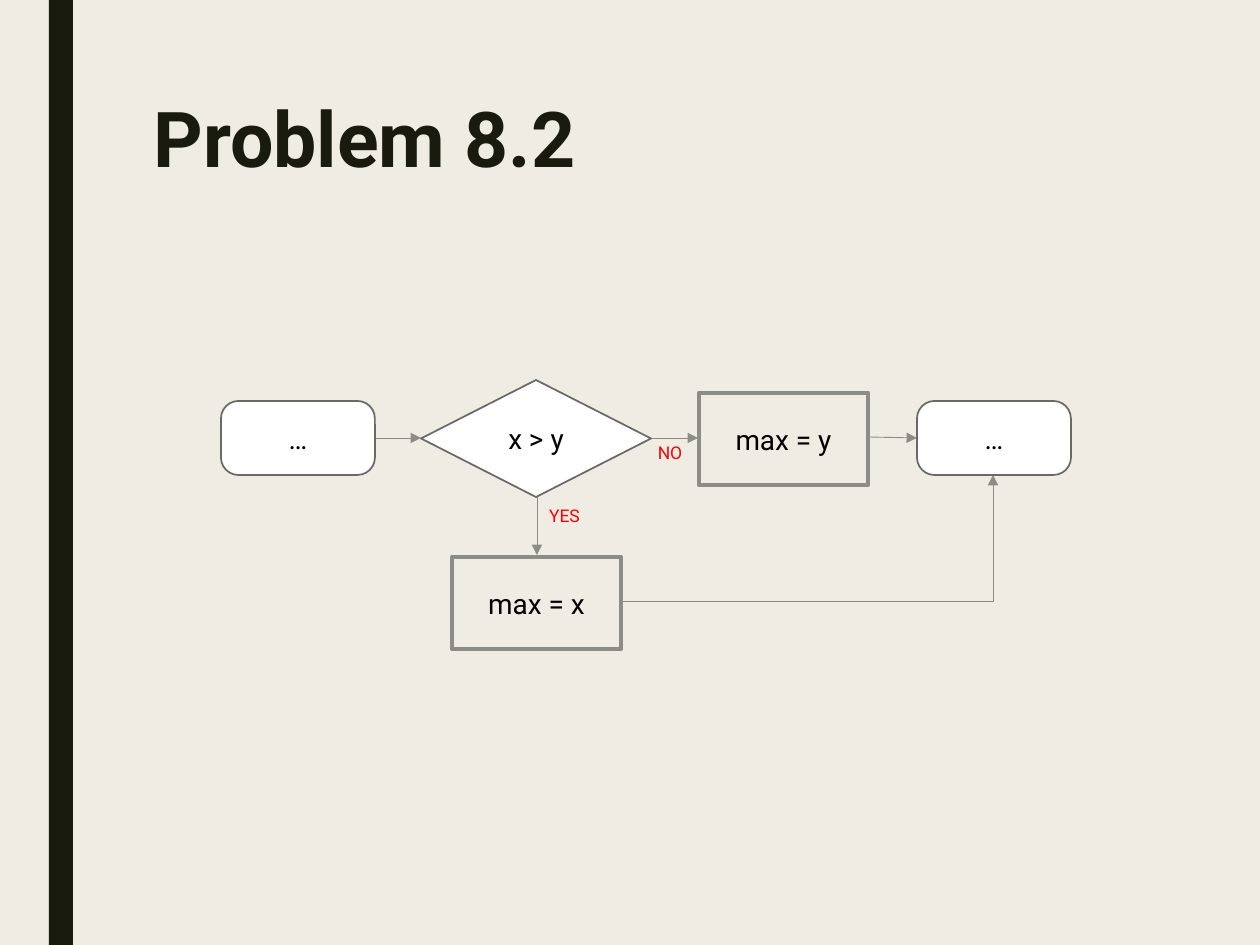
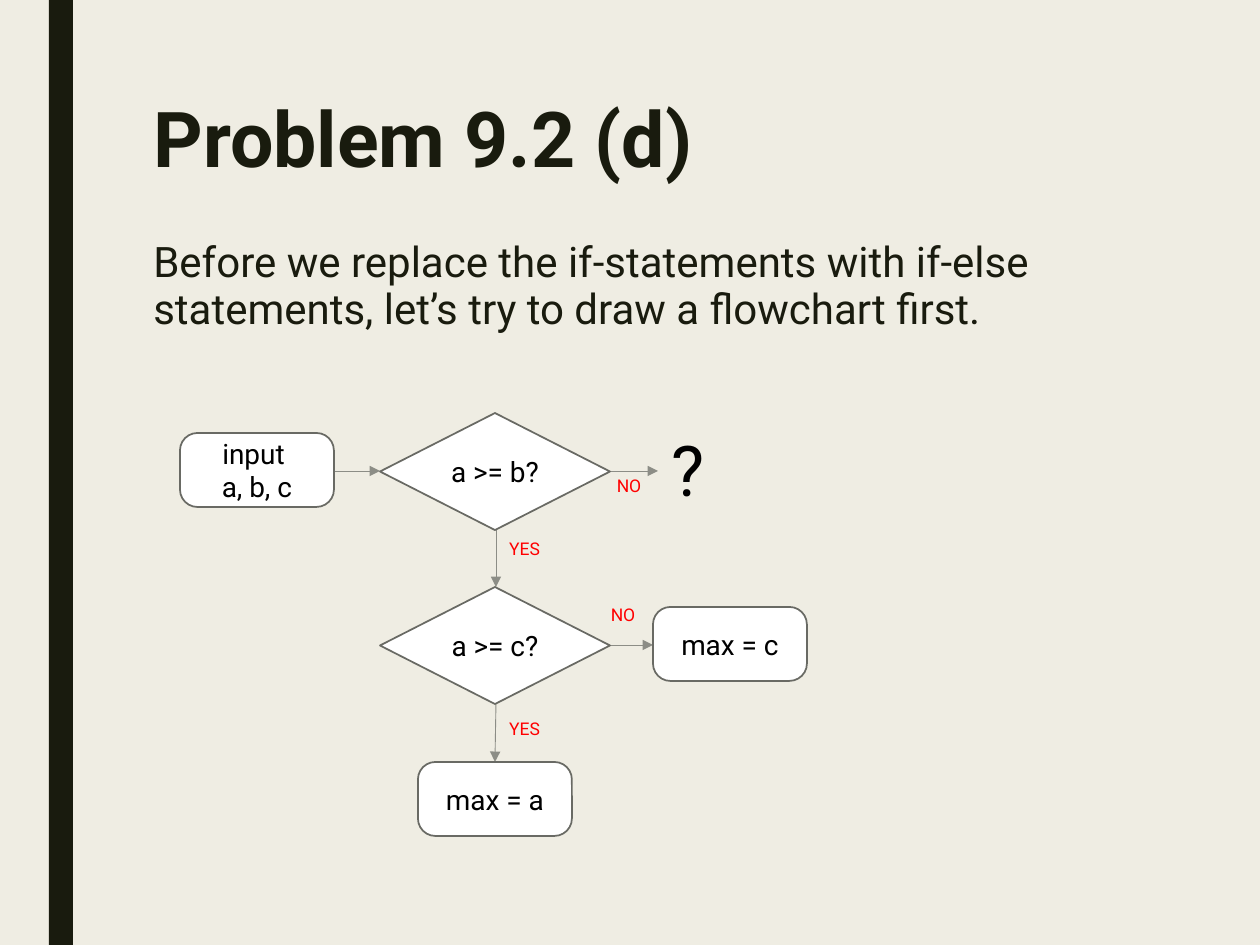
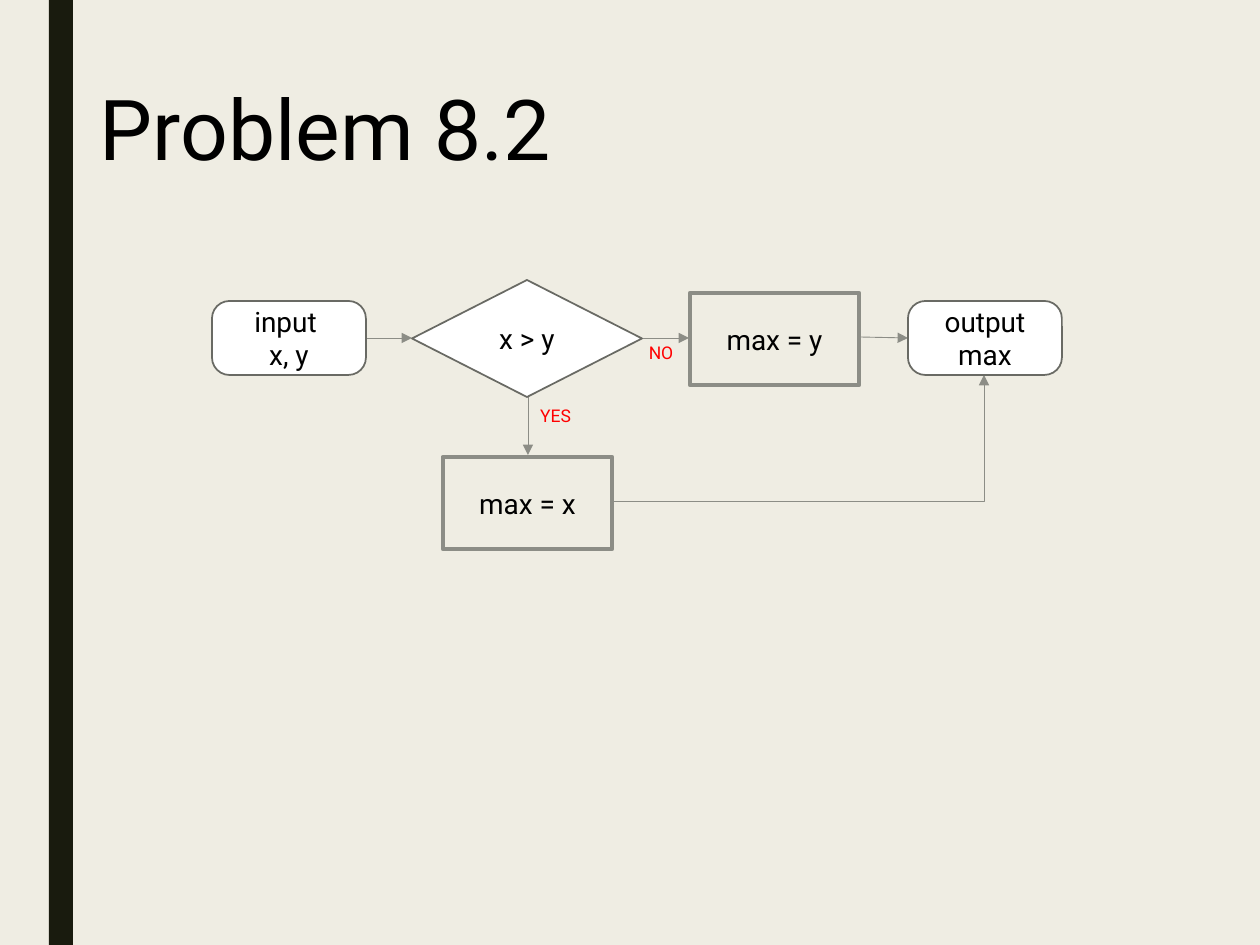
from lxml.etree import SubElement
from pptx import Presentation
from pptx.dml.color import RGBColor
from pptx.enum.shapes import MSO_CONNECTOR, MSO_SHAPE
from pptx.enum.text import MSO_ANCHOR, MSO_AUTO_SIZE, PP_ALIGN
from pptx.oxml.ns import qn
from pptx.util import Pt

SCALE = 914400 / 126  # EMU per px
CREAM = RGBColor(0xEF, 0xED, 0xE3)
DARK = RGBColor(0x19, 0x1B, 0x0E)
BLACK = RGBColor(0x00, 0x00, 0x00)
WHITE = RGBColor(0xFF, 0xFF, 0xFF)
RED = RGBColor(0xFF, 0x00, 0x00)
OUTLINE = RGBColor(0x69, 0x6A, 0x64)
GREY = RGBColor(0x8C, 0x8D, 0x86)
FONT = "Roboto"


def px(*lengths):
    return [round(length * SCALE) for length in lengths]


def write(shape, text, size=16, color=BLACK, bold=False, align=PP_ALIGN.LEFT,
          anchor=MSO_ANCHOR.TOP, inset=None, spacing=None, after=0, wrap=True):
    frame = shape.text_frame
    frame.auto_size = MSO_AUTO_SIZE.NONE
    frame.word_wrap = wrap
    frame.vertical_anchor = anchor
    if inset is not None:
        frame.margin_left, frame.margin_top, frame.margin_right, frame.margin_bottom = px(*[inset] * 4)
    frame.text = text
    for paragraph in frame.paragraphs:
        paragraph.alignment = align
        paragraph.line_spacing = spacing
        paragraph.space_after = Pt(after)
        paragraph.font.name = FONT
        paragraph.font.size = Pt(size)
        paragraph.font.bold = bold
        paragraph.font.color.rgb = color


presentation = Presentation()
presentation.slide_width, presentation.slide_height = px(1260, 945)
title_only = presentation.slide_layouts[5]
slides = [presentation.slides.add_slide(title_only) for _ in range(3)]
chart_8_2, chart_9_2, answer_8_2 = slides

# Shared background and dark band, kept on the master
master = presentation.slide_master
master.background.fill.solid()
master.background.fill.fore_color.rgb = CREAM
band = chart_8_2.shapes.add_shape(MSO_SHAPE.RECTANGLE, *px(49, 0, 24, 945))
band.shadow.inherit = False
band.fill.solid()
band.fill.fore_color.rgb = DARK
band.line.fill.background()
master.element.cSld.spTree.append(band.element)

# Titles
heading = dict(size=44, color=DARK, bold=True, spacing=0.89)
for slide, text, box, style in [
    (chart_8_2, "Problem 8.2", (141, 95, 993, 204), heading),
    (chart_9_2, "Problem 9.2 (d)", (141, 95, 993, 204), heading),
    (answer_8_2, "Problem 8.2", (87, 50, 1086, 135),
     dict(size=48, anchor=MSO_ANCHOR.BOTTOM, spacing=0.9)),
]:
    title = slide.shapes.title
    title.left, title.top, title.width, title.height = px(*box)
    write(title, text, **style)

# Introduction and open branch of problem 9.2
introduction = chart_9_2.shapes.add_textbox(*px(141, 233, 993, 532))
write(introduction, "Before we replace the if-statements with if-else statements, "
      "let’s try to draw a flowchart first.", size=24, color=DARK, spacing=0.94, after=2)
question = chart_9_2.shapes.add_textbox(*px(659, 420, 72, 97))
write(question, "?", size=40)

# Flowchart of problem 9.2
nodes = [
    (chart_9_2, "terminal", 180, 433, "input \na, b, c"),
    (chart_9_2, "decision", 380, 413, "a >= b?"),
    (chart_9_2, "decision", 380, 587, "a >= c?"),
    (chart_9_2, "terminal", 418, 762, "max = a"),
    (chart_9_2, "terminal", 653, 607, "max = c"),
]
labels = [
    (chart_9_2, 503, 534, "YES"),
    (chart_9_2, 612, 471, "NO"),
    (chart_9_2, 503, 714, "YES"),
    (chart_9_2, 606, 600, "NO"),
]
arrows = [
    (chart_9_2, 334, 471, 380, 471),
    (chart_9_2, 496, 529, 496, 587),
    (chart_9_2, 610, 471, 658, 471),
    (chart_9_2, 496, 704, 495, 762),
    (chart_9_2, 605, 645, 653, 645),
]

# Flowchart of problem 8.2, once with open ends and once filled in
for slide, left, top, start, end in [
    (chart_8_2, 221, 380, "…", "…"),
    (answer_8_2, 212, 280, "input \nx, y", "output max"),
]:
    nodes += [(slide, kind, left + x, top + y, text) for kind, x, y, text in [
        ("terminal", 0, 21, start),
        ("decision", 200, 0, "x > y"),
        ("process", 231, 177, "max = x"),
        ("process", 478, 13, "max = y"),
        ("terminal", 696, 21, end),
    ]]
    labels += [(slide, left + 322, top + 121, "YES"), (slide, left + 432, top + 58, "NO")]
    arrows += [(slide, left + x1, top + y1, left + x2, top + y2) for x1, y1, x2, y2 in [
        (154, 58, 200, 58),
        (316, 117, 316, 175),
        (430, 58, 477, 58),
        (647, 57, 696, 58),
        (400, 222, 772, 95),
    ]]

# Arrows: straight, or with one corner when the ends differ in both directions
for slide, x1, y1, x2, y2 in arrows:
    bent = abs(x2 - x1) > 1 and abs(y2 - y1) > 1
    kind = MSO_CONNECTOR.ELBOW if bent else MSO_CONNECTOR.STRAIGHT
    arrow = slide.shapes.add_connector(kind, *px(x1, y1, x2, y2))
    arrow.line.color.rgb = GREY
    arrow.line.width = Pt(0.5)
    properties = arrow.element.spPr
    if bent:
        properties.find(qn("a:prstGeom")).set("prst", "bentConnector2")
    SubElement(properties.find(qn("a:ln")), qn("a:tailEnd"), type="triangle")
    SubElement(properties, qn("a:effectLst"))

# Nodes: preset, width, height, fill, line colour, line width
NODE_STYLES = {
    "terminal": (MSO_SHAPE.ROUNDED_RECTANGLE, 154, 74, WHITE, OUTLINE, 1),
    "decision": (MSO_SHAPE.DIAMOND, 230, 117, WHITE, OUTLINE, 1),
    "process": (MSO_SHAPE.RECTANGLE, 169, 92, None, GREY, 2.75),
}
centred = dict(align=PP_ALIGN.CENTER, anchor=MSO_ANCHOR.MIDDLE, inset=4)
for slide, kind, left, top, text in nodes:
    preset, width, height, fill, line_color, line_width = NODE_STYLES[kind]
    node = slide.shapes.add_shape(preset, *px(left, top, width, height))
    node.shadow.inherit = False
    if kind == "terminal":
        node.adjustments[0] = 0.236
    if fill is None:
        node.fill.background()
    else:
        node.fill.solid()
        node.fill.fore_color.rgb = fill
    node.line.color.rgb = line_color
    node.line.width = Pt(line_width)
    write(node, text, **centred)

# Branch labels
for slide, left, top, text in labels:
    width = 43 if text == "YES" else 34
    label = slide.shapes.add_textbox(*px(left, top, width, 29))
    write(label, text, size=10, color=RED, wrap=False, **centred)

presentation.save("out.pptx")
